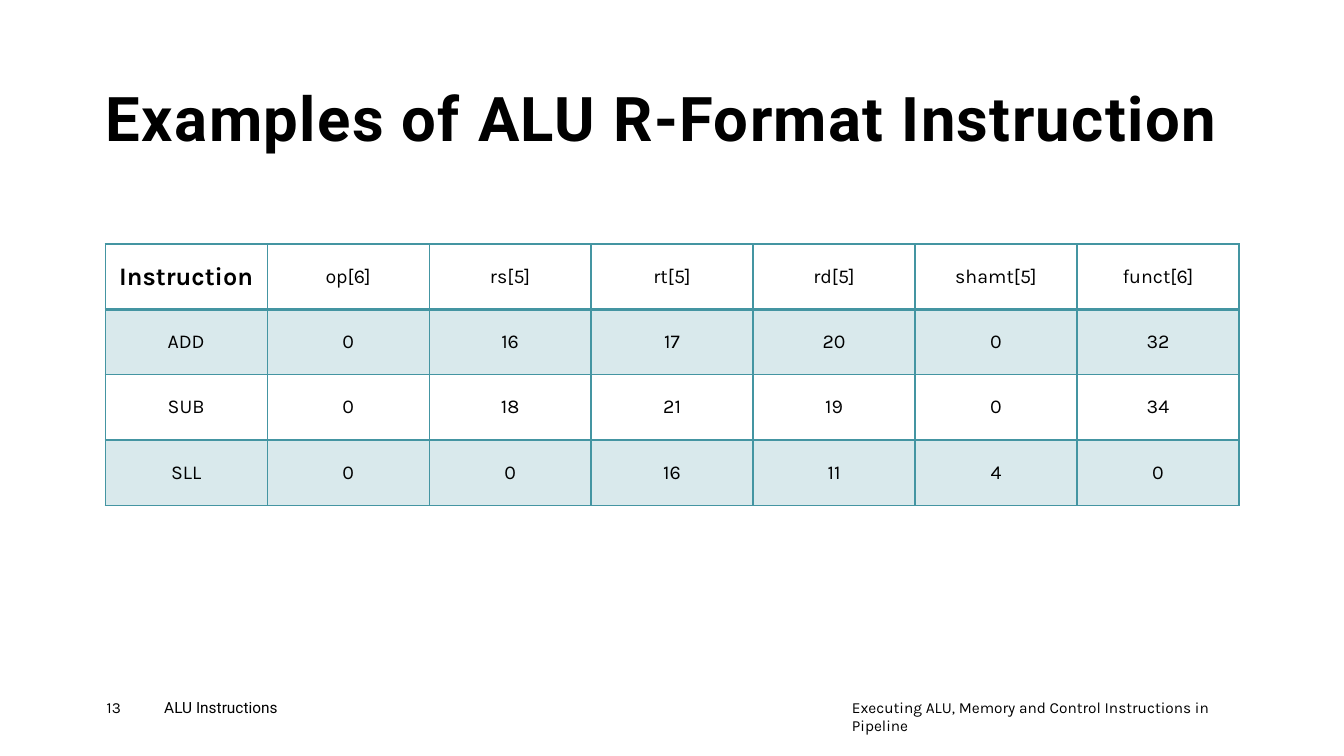
from lxml.etree import SubElement
from pptx import Presentation
from pptx.dml.color import RGBColor
from pptx.enum.text import MSO_ANCHOR, PP_ALIGN
from pptx.oxml import parse_xml
from pptx.oxml.ns import nsdecls, qn
from pptx.util import Cm, Pt

BLACK = RGBColor(0x00, 0x00, 0x00)
TEAL = RGBColor(0x44, 0x95, 0xA2)

ROWS = [
    ["Instruction", "op[6]", "rs[5]", "rt[5]", "rd[5]", "shamt[5]", "funct[6]"],
    ["ADD", "0", "16", "17", "20", "0", "32"],
    ["SUB", "0", "18", "21", "19", "0", "34"],
    ["SLL", "0", "0", "16", "11", "4", "0"],
]


def write(tf, text, font="Karla", size=11, bold=False, align=PP_ALIGN.LEFT,
          line_spacing=None, spacing=0):
    """Put one formatted run of text into a text frame."""
    p = tf.paragraphs[0]
    p.alignment = align
    p.line_spacing = line_spacing
    r = p.add_run()
    r.text = text
    r.font.name = font
    r.font.size = Pt(size)
    r.font.bold = bold
    r.font.color.rgb = BLACK
    if spacing:
        r.font._element.set("spc", str(spacing * 100))


def add_text(s, box, text, anchor=MSO_ANCHOR.TOP, **fmt):
    """Add a wrapped text box without margins at box, in centimetres."""
    tf = s.shapes.add_textbox(*map(Cm, box)).text_frame
    tf.word_wrap = True
    tf.margin_left = tf.margin_top = tf.margin_right = tf.margin_bottom = 0
    tf.vertical_anchor = anchor
    write(tf, text, **fmt)


def style_cell(cell, shaded, bottom):
    """Give a cell its teal borders and its clear or translucent fill."""
    if shaded:
        cell.fill.solid()
        cell.fill.fore_color.rgb = TEAL
        color = cell._tc.tcPr.find(f"{qn('a:solidFill')}/{qn('a:srgbClr')}")
        SubElement(color, qn("a:alpha"), val="20000")
    else:
        cell.fill.background()
    widths = {"lnL": 1, "lnR": 1, "lnT": 1, "lnB": bottom}
    for i, (side, width) in enumerate(widths.items()):
        cell._tc.tcPr.insert(i, parse_xml(
            f'<a:{side} {nsdecls("a")} w="{Pt(width)}"><a:solidFill>'
            f'<a:srgbClr val="{TEAL}"/></a:solidFill></a:{side}>'))


def add_instruction_table(s, box):
    """Add the instruction field table, with even rows and columns, in box."""
    n_rows, n_cols = len(ROWS), len(ROWS[0])
    table = s.shapes.add_table(n_rows, n_cols, *map(Cm, box)).table
    table.first_row = table.horz_banding = False
    for column in table.columns:
        column.width = Cm(box[2] / n_cols)
    for i, values in enumerate(ROWS):
        table.rows[i].height = Cm(box[3] / n_rows)
        for j, value in enumerate(values):
            cell = table.cell(i, j)
            cell.vertical_anchor = MSO_ANCHOR.MIDDLE
            corner = i == j == 0
            write(cell.text_frame, value, size=18 if corner else 14,
                  bold=corner, align=PP_ALIGN.CENTER)
            style_cell(cell, shaded=i % 2 == 1, bottom=2 if i == 0 else 1)


def add_footer(s, box):
    """Add page number, section and lecture name along the footer box."""
    left, top, width, height = box
    add_text(s, (left, top, 1.45, height), "13")
    add_text(s, (left + 1.45, top, 4.17, height), "ALU Instructions", font="Roboto")
    add_text(s, (left + width - 9.7, top, 9.7, height),
             "Executing ALU, Memory and Control Instructions in Pipeline")


def main():
    """Build and save the slide."""
    prs = Presentation()
    prs.slide_width, prs.slide_height = Cm(33.87), Cm(19.05)
    s = prs.slides.add_slide(prs.slide_layouts[6])
    add_text(s, (2.67, 0.33, 28.58, 3.56), "Examples of ALU R-Format Instruction",
             anchor=MSO_ANCHOR.BOTTOM, font="Roboto", size=44, bold=True,
             line_spacing=0.9, spacing=1)
    add_instruction_table(s, (2.65, 6.15, 28.58, 6.58))
    add_footer(s, (2.69, 17.58, 28.48, 0.69))
    prs.save("out.pptx")


if __name__ == "__main__":
    main()
